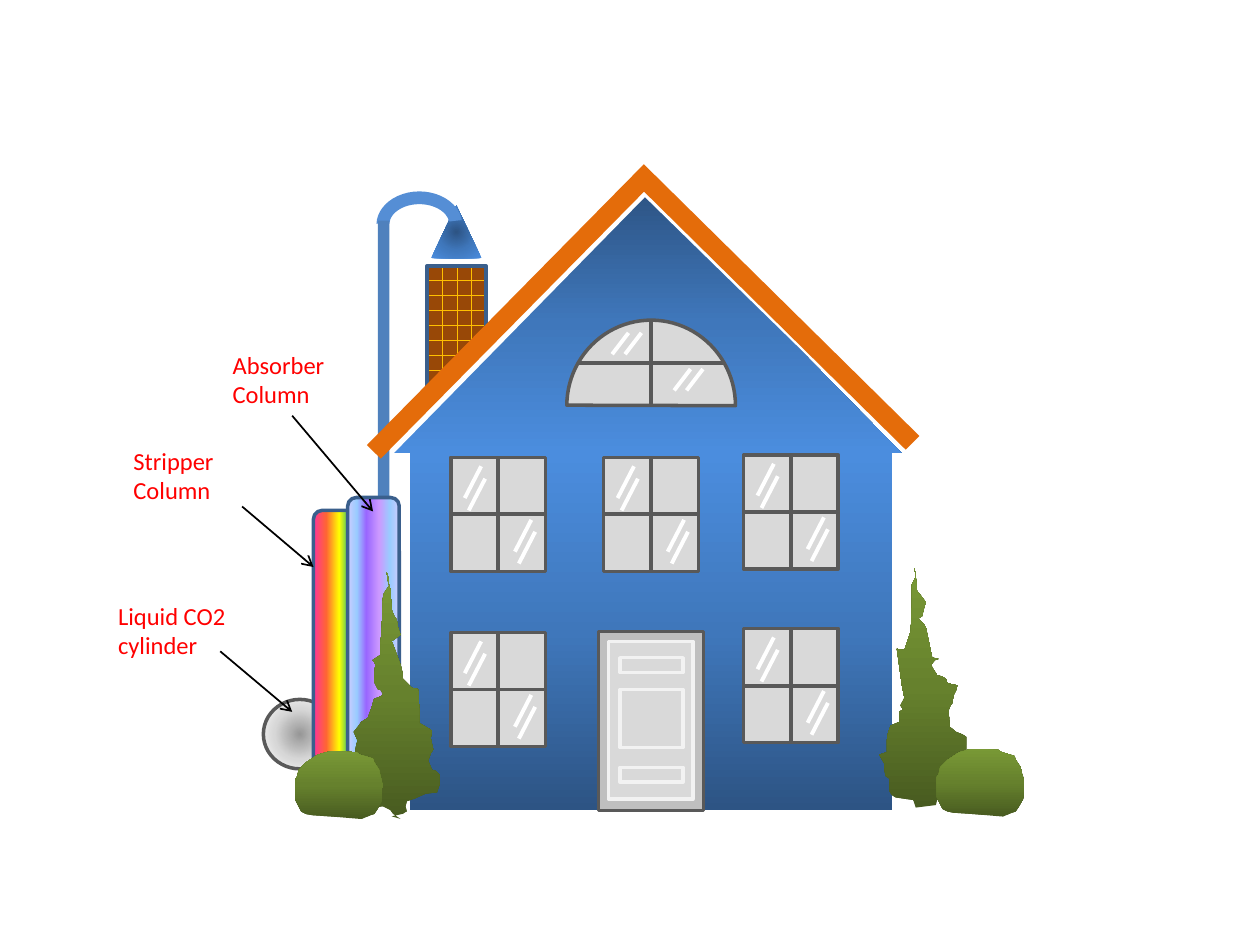
"""Draw a house with a labelled carbon capture unit beside it."""
from lxml import etree
from pptx import Presentation
from pptx import util as u
from pptx.dml.color import RGBColor
from pptx.enum import dml, shapes, text
from pptx.oxml import ns

Cm, Pt = u.Cm, u.Pt
KIND = shapes.MSO_SHAPE
WHITE, BLACK, RED = map(RGBColor.from_string, ("FFFFFF", "000000", "FF0000"))
FRAME, GLASS = map(RGBColor.from_string, ("595959", "D9D9D9"))
PANEL_EDGE, DOOR_FRAME = map(RGBColor.from_string, ("F2F2F2", "BFBFBF"))
NAVY, POLE, FLUE_BEND = map(RGBColor.from_string, ("3A5F8C", "4F81BD", "558ED5"))
ROOF, BRICK, MORTAR = map(RGBColor.from_string, ("E46C0A", "984807", "FFC000"))


def stops(*pairs):
    """Turn (percent, hex) pairs into gradient stops."""
    return [(percent, RGBColor.from_string(color)) for percent, color in pairs]


BLUES = stops((0, "2D5484"), (50, "3F77BB"), (100, "4B8DDE"))
GREENS = stops((0, "485B20"), (50, "66812D"), (100, "799936"))
STEEL = stops((0, "979797"), (50, "D7D7D7"), (100, "FFFFFF"))
RAINBOW = stops((0, "FF3399"), (25, "FF6633"), (50, "FFFF00"), (75, "01A78F"), (100, "3366FF"))
VIOLETS = stops((0, "CCCCFF"), (18, "99CCFF"), (36, "9966FF"), (61, "CC99FF"),
                (82, "99CCFF"), (100, "CCCCFF"))

BUSH = [(15, 51), (10, 50), (6, 48), (1, 38), (1, 23), (3, 20), (4, 15), (10, 9), (16, 5), (19, 3),
        (30, 0), (50, 1), (53, 3), (60, 5), (63, 6), (64, 9), (68, 15), (69, 20), (71, 26), (70, 40),
        (66, 47), (64, 50), (61, 51), (54, 54), (30, 52)]
RIGHT_TREE = [
    (28, 185), (14, 183), (11, 181), (9, 178), (9, 168), (6, 166), (5, 160), (5, 156), (1, 149), (7, 147),
    (7, 138), (8, 132), (10, 126), (17, 123), (17, 115), (20, 113), (18, 110), (21, 104), (19, 94), (15, 65),
    (21, 66), (24, 57), (26, 51), (27, 29), (27, 14), (30, 8), (29, 1), (30, 7), (31, 19), (38, 28), (37, 31),
    (35, 39), (32, 41), (36, 45), (38, 48), (43, 72), (48, 73), (45, 74), (42, 78), (47, 86), (51, 87),
    (54, 89), (55, 92), (58, 93), (63, 94), (62, 98), (60, 102), (59, 108), (57, 111), (56, 114), (57, 127),
    (62, 131), (67, 133), (70, 135), (70, 144), (69, 155), (75, 158), (71, 166), (69, 169), (65, 171),
    (58, 174), (55, 183), (52, 184), (47, 185), (46, 189), (30, 191)]
LEFT_TREE = [
    (47, 196), (41, 192), (39, 189), (33, 186), (26, 187), (23, 188), (20, 187), (17, 184), (11, 180),
    (9, 177), (0, 172), (1, 162), (3, 158), (4, 150), (5, 147), (11, 143), (12, 137), (13, 134), (10, 127),
    (14, 122), (16, 119), (21, 116), (24, 108), (26, 101), (33, 98), (32, 94), (29, 93), (26, 87), (27, 73),
    (25, 70), (31, 66), (31, 57), (32, 48), (33, 21), (34, 17), (38, 11), (37, 3), (36, 0), (37, 7), (39, 14),
    (40, 30), (42, 35), (44, 38), (45, 44), (47, 50), (40, 55), (45, 68), (48, 77), (49, 85), (56, 92),
    (61, 93), (62, 110), (62, 120), (69, 124), (72, 126), (71, 132), (73, 141), (71, 144), (69, 150),
    (72, 157), (75, 158), (78, 161), (78, 169), (76, 175), (67, 176), (58, 180), (52, 182), (51, 186),
    (52, 190), (49, 192), (40, 194)]


def paint_gradient(shape, colors, angle):
    """Fill a shape with a linear gradient, or a round one when angle is None."""
    shape.fill.background()
    properties = shape.element.spPr
    gradient = etree.Element(ns.qn("a:gradFill"), rotWithShape="1")
    stop_list = etree.SubElement(gradient, ns.qn("a:gsLst"))
    for percent, color in colors:
        stop = etree.SubElement(stop_list, ns.qn("a:gs"), pos=str(percent * 1000))
        etree.SubElement(stop, ns.qn("a:srgbClr"), val=str(color))
    if angle is None:
        circle = etree.SubElement(gradient, ns.qn("a:path"), path="circle")
        etree.SubElement(circle, ns.qn("a:fillToRect"), dict.fromkeys("ltrb", "50000"))
    else:
        etree.SubElement(gradient, ns.qn("a:lin"), ang=str(angle * 60000), scaled="0")
    properties.replace(properties.find(ns.qn("a:noFill")), gradient)


def style(shape, fill, edge=None, angle=None):
    """Set the fill and outline of a shape and remove its shadow."""
    shape.shadow.inherit = False
    if isinstance(fill, list):
        paint_gradient(shape, fill, angle)
    else:
        shape.fill.solid()
        shape.fill.fore_color.rgb = fill
    if edge is None:
        shape.line.fill.background()
    else:
        shape.line.color.rgb = edge
        shape.line.width = Pt(2)


def add_part(parent, kind, box, fill, edge=None, angle=None, adjustments=(), rotation=0):
    """Add a styled preset shape in a box given in centimetres."""
    shape = parent.shapes.add_shape(kind, *map(Cm, box))
    for index, value in enumerate(adjustments):
        shape.adjustments[index] = value
    shape.rotation = rotation
    style(shape, fill, edge, angle)
    return shape


def add_line(parent, start, end, color=FRAME, width=2.25, arrow=False):
    """Add a straight line between two points in centimetres."""
    line = parent.shapes.add_connector(shapes.MSO_CONNECTOR.STRAIGHT, *map(Cm, (*start, *end)))
    line.line.color.rgb = color
    line.line.width = Pt(width)
    properties = line.element.spPr
    if arrow:
        etree.SubElement(properties.find(ns.qn("a:ln")), ns.qn("a:tailEnd"), type="arrow")
    etree.SubElement(properties, ns.qn("a:effectLst"))


def add_glints(parent, left, top, starts, drop):
    """Add the slanted reflections of a pane."""
    for x, y in starts:
        add_line(parent, (left + x, top + y), (left + x - 0.33, top + y + drop), WHITE)


def add_window(slide, left, top, width=1.91, height=2.3):
    """Add a four-pane window."""
    group = slide.shapes.add_group_shape()
    add_part(group, KIND.RECTANGLE, (left, top, width, height), GLASS, FRAME)
    add_line(group, (left + width / 2, top), (left + width / 2, top + height))
    add_line(group, (left, top + height / 2), (left + width, top + height / 2))
    add_glints(group, left, top, [(0.61, 0.18), (0.69, 0.43), (1.62, 1.26), (1.7, 1.5)], 0.64)


def add_attic_window(slide, left, top):
    """Add the half-round window under the roof."""
    box = (left, top, 3.45, 3.4)
    add_part(slide, KIND.CHORD, box, GLASS, FRAME, adjustments=(54.21, 162), rotation=90)
    add_line(slide, (left + 1.73, top), (left + 1.73, top + 1.7))
    add_line(slide, (left + 0.23, top + 0.84), (left + 3.21, top + 0.84))
    add_glints(slide, left, top, [(1.27, 0.23), (1.53, 0.23), (2.52, 0.96), (2.77, 0.96)], 0.43)


def add_door(slide, left, top):
    """Add the front door with its three panels."""
    group = slide.shapes.add_group_shape()
    add_part(group, KIND.RECTANGLE, (left, top, 2.11, 3.61), DOOR_FRAME, FRAME)
    for x, y, width, height in [(0.2, 0.2, 1.7, 3.18), (0.43, 0.53, 1.27, 0.3),
                                (0.43, 2.74, 1.27, 0.3), (0.43, 1.17, 1.27, 1.17)]:
        add_part(group, KIND.RECTANGLE, (left + x, top + y, width, height), GLASS, PANEL_EDGE)


def add_chimney(slide, box):
    """Add the brick chimney."""
    fill = add_part(slide, KIND.RECTANGLE, box, BRICK, NAVY).fill
    fill.patterned()
    fill.pattern = dml.MSO_PATTERN.HORIZONTAL_BRICK
    fill.fore_color.rgb = MORTAR
    fill.back_color.rgb = BRICK


def add_flue(slide, left, top):
    """Add the hood, bent pipe and upright that collect the smoke."""
    add_part(slide, KIND.ISOSCELES_TRIANGLE, (left + 1.1, top + 0.28, 1.02, 1.07), BLUES)
    bend = (109.09, 212.11, 0.19)
    add_part(slide, KIND.BLOCK_ARC, (left, top, 1.73, 1.35), FLUE_BEND, adjustments=bend)
    add_part(slide, KIND.RECTANGLE, (left + 0.03, top + 0.59, 0.23, 5.59), POLE)


def add_plant(slide, left, top, outline):
    """Add a green plant from an outline in hundredths of an inch."""
    builder = slide.shapes.build_freeform(*outline[0], scale=Cm(2.54) / 100)
    builder.add_line_segments(outline[1:], close=True)
    style(builder.convert_to_shape(Cm(left), Cm(top)), GREENS, angle=270)


def add_label(slide, left, top, width, words, start, end):
    """Add a red label and its arrow."""
    frame = slide.shapes.add_textbox(Cm(left), Cm(top), Cm(width), Cm(1.45)).text_frame
    frame.word_wrap = True
    frame.auto_size = text.MSO_AUTO_SIZE.SHAPE_TO_FIT_TEXT
    run = frame.paragraphs[0].add_run()
    run.text = words
    run.font.name, run.font.size = "Calibri", Pt(14)
    run.font.color.rgb = RED
    add_line(slide, start, end, BLACK, 1, arrow=True)


def build_slide(slide):
    """Place every part of the scene from back to front."""
    add_part(slide, KIND.OVAL, (5.31, 14.1, 1.47, 1.4), STEEL, FRAME)
    add_chimney(slide, (8.61, 5.36, 1.19, 4.17))
    add_part(slide, KIND.ISOSCELES_TRIANGLE, (7.82, 3.86, 10.36, 5.28), BLUES, angle=90)
    add_part(slide, KIND.ROUNDED_RECTANGLE, (6.32, 10.29, 1.04, 6.02), RAINBOW, NAVY, 0)
    for eave in (7.39, 18.85):
        add_line(slide, (eave, 9.58), (13, 3.86), WHITE, 4.5)
    add_part(slide, KIND.RECTANGLE, (8.26, 9.14, 9.73, 7.19), BLUES, angle=270)
    add_door(slide, 12.07, 12.73)
    for left, top in [(9.09, 12.75), (14.99, 12.67), (9.09, 9.22), (14.99, 9.17), (12.17, 9.22)]:
        add_window(slide, left, top)
    add_attic_window(slide, 11.4, 6.48)
    add_plant(slide, 17.7, 11.43, RIGHT_TREE)
    add_flue(slide, 7.59, 3.86)
    add_part(slide, KIND.ROUNDED_RECTANGLE, (7.01, 10.03, 1.04, 6.07), VIOLETS, NAVY, 0)
    roof = (8.99, 4.98, 7.95, 7.8)
    add_part(slide, KIND.CORNER, roof, ROOF, adjustments=(0.05, 0.05), rotation=134.6)
    for left, top, outline in [(6.88, 11.53, LEFT_TREE), (5.92, 15.14, BUSH), (18.85, 15.09, BUSH)]:
        add_plant(slide, left, top, outline)
    add_label(slide, 2.44, 8.86, 2.92, "Stripper Column", (4.88, 10.21), (6.32, 11.43))
    add_label(slide, 4.44, 6.93, 2.92, "Absorber Column", (5.89, 8.38), (7.52, 10.31))
    add_label(slide, 2.13, 11.99, 2.74, "Liquid CO2 cylinder", (4.44, 13.13), (5.89, 14.35))


presentation = Presentation()
presentation.slide_width, presentation.slide_height = Cm(25.4), Cm(19.05)
build_slide(presentation.slides.add_slide(presentation.slide_layouts[6]))
presentation.save("out.pptx")
